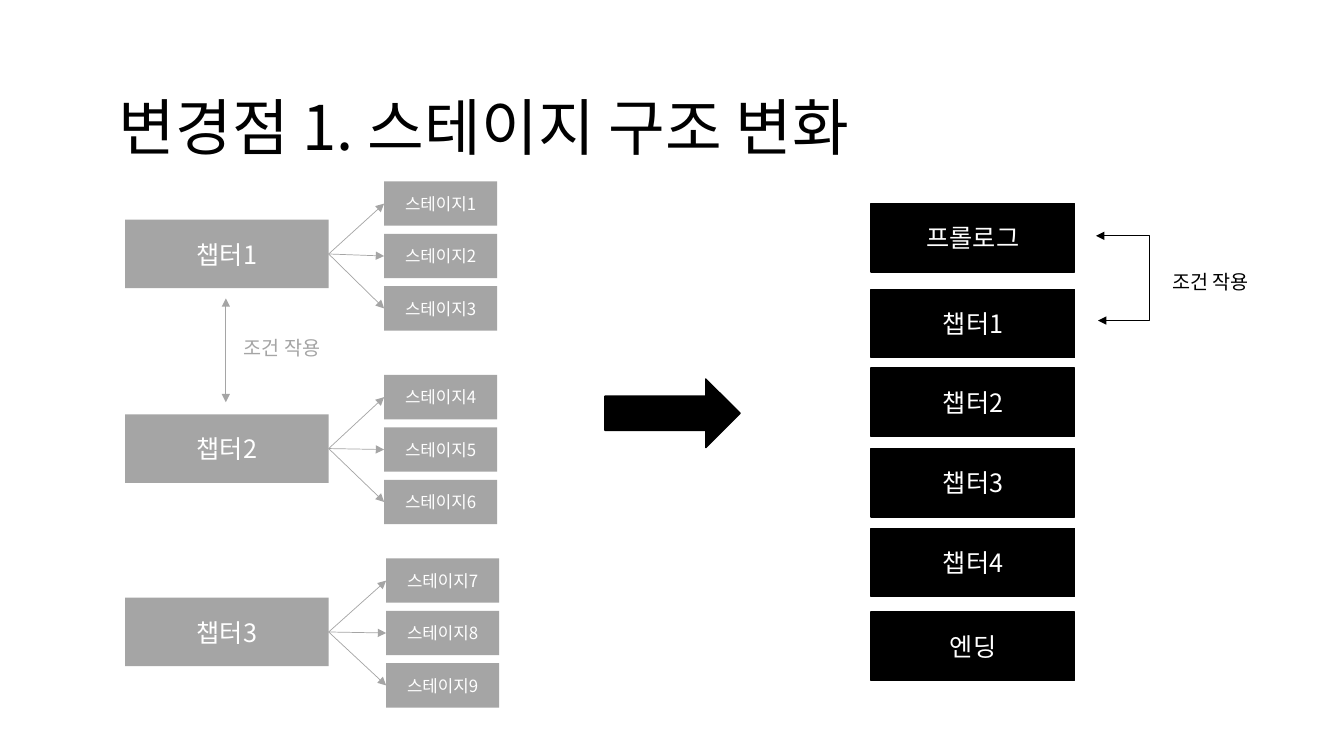
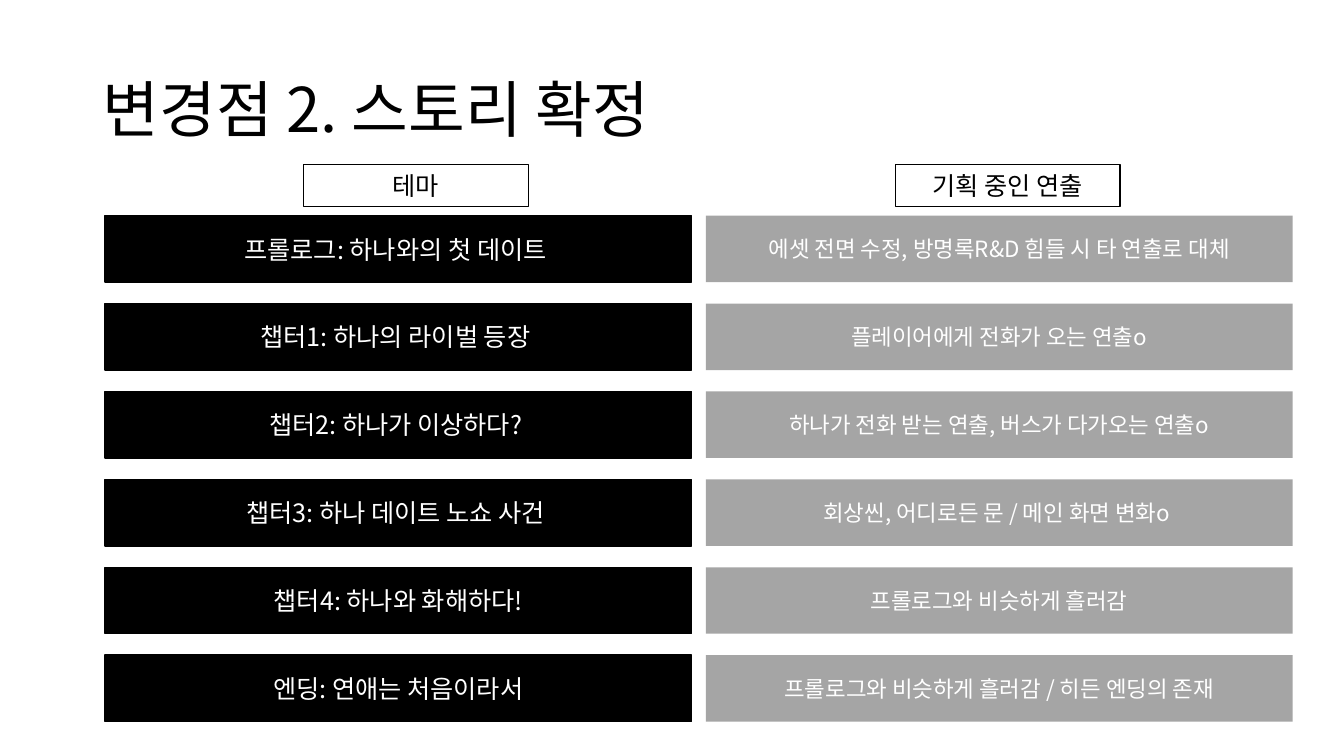
from pptx import Presentation
from pptx.dml.color import RGBColor
from pptx.enum.shapes import MSO_CONNECTOR, MSO_SHAPE
from pptx.enum.text import MSO_ANCHOR, PP_ALIGN
from pptx.oxml.ns import qn
from pptx.util import Inches, Pt
from lxml.etree import SubElement

BLACK, GRAY, WHITE = "000000", "A5A5A5", "FFFFFF"
FONT = "Noto Sans CJK KR"


def color(value):
    return RGBColor.from_string(value)


def write(tf, text, size=18, fill=BLACK, align=PP_ALIGN.LEFT,
          anchor=MSO_ANCHOR.TOP, spacing=None):
    tf.word_wrap = True
    tf.vertical_anchor = anchor
    p = tf.paragraphs[0]
    p.alignment = align
    p.line_spacing = spacing
    r = p.add_run()
    r.text = text
    r.font.name = FONT
    r.font.size = Pt(size)
    r.font.color.rgb = color(fill)
    SubElement(r.font._element, qn("a:ea")).set("typeface", FONT)


class Deck:
    """Holds the presentation, its style and the current slide."""

    def __init__(self):
        self.prs = Presentation()
        self.prs.slide_width = Inches(13.33)
        self.prs.slide_height = Inches(7.5)

    def slide(self, title, left, top):
        self.s = self.prs.slides.add_slide(self.prs.slide_layouts[6])
        self.text(title, left, top, 11.5, 1.45, size=44,
                  anchor=MSO_ANCHOR.MIDDLE, spacing=0.9)

    def text(self, text, left, top, width, height, **fmt):
        box = self.s.shapes.add_textbox(
            Inches(left), Inches(top), Inches(width), Inches(height))
        write(box.text_frame, text, **fmt)

    def shape(self, left, top, width, height, fill=BLACK, line=None,
              kind=MSO_SHAPE.RECTANGLE):
        sp = self.s.shapes.add_shape(
            kind, Inches(left), Inches(top), Inches(width), Inches(height))
        sp.shadow.inherit = False
        sp.fill.solid()
        sp.fill.fore_color.rgb = color(fill)
        if line:
            sp.line.color.rgb = color(line)
            sp.line.width = Pt(1)
        else:
            sp.line.fill.background()
        return sp

    def box(self, text, left, top, width, height, fill=BLACK, line=None,
            size=18, font_color=WHITE):
        sp = self.shape(left, top, width, height, fill, line)
        write(sp.text_frame, text, size=size, fill=font_color,
              align=PP_ALIGN.CENTER, anchor=MSO_ANCHOR.MIDDLE)

    def arrow(self, x1, y1, x2, y2, line=GRAY, both=False, elbow_x=None):
        kind = MSO_CONNECTOR.STRAIGHT if elbow_x is None else MSO_CONNECTOR.ELBOW
        cn = self.s.shapes.add_connector(
            kind, Inches(x1), Inches(y1), Inches(x2), Inches(y2))
        cn.line.color.rgb = color(line)
        cn.line.width = Pt(0.5)
        sp_pr = cn._element.spPr
        SubElement(sp_pr, qn("a:effectLst"))
        ln = sp_pr.find(qn("a:ln"))
        for end in ("a:headEnd", "a:tailEnd") if both else ("a:tailEnd",):
            SubElement(ln, qn(end)).set("type", "triangle")
        if elbow_x is not None:
            # The bend is given in 1/100000 of the connector's width
            bend = round((elbow_x - x1) / (x2 - x1) * 100000)
            guide = SubElement(sp_pr.find(".//" + qn("a:avLst")), qn("a:gd"))
            guide.set("name", "adj1")
            guide.set("fmla", f"val {bend}")


def stage_structure(deck):
    deck.slide("변경점 1. 스테이지 구조 변화", 1.08, 0.57)
    width, height = 2.02, 0.68
    stage_width, stage_height, stage_step = 1.12, 0.44, 0.52

    # Old structure: chapters that branch into three stages
    chapter_left = 1.24
    branches = [(2.18, 3.81, 1.8), (4.11, 3.81, 3.72), (5.93, 3.83, 5.54)]
    for i, (top, stage_left, stage_top) in enumerate(branches):
        deck.box(f"챕터{i + 1}", chapter_left, top, width, height, GRAY)
        for j in range(3):
            y = stage_top + j * stage_step
            deck.box(f"스테이지{3 * i + j + 1}", stage_left, y,
                     stage_width, stage_height, GRAY, size=12)
            deck.arrow(chapter_left + width, top + height / 2,
                       stage_left, y + stage_height / 2)
    deck.arrow(2.24, 2.96, 2.24, 3.99, both=True)
    deck.text("조건 작용", 2.32, 3.28, 1.14, 0.34, size=14, fill=GRAY)

    # Change arrow
    deck.shape(6, 3.76, 1.34, 0.68, line=BLACK, kind=MSO_SHAPE.RIGHT_ARROW)

    # New structure: one straight list
    parts = [("프롤로그", 2.02), ("챕터1", 2.87), ("챕터2", 3.65),
             ("챕터3", 4.45), ("챕터4", 5.24), ("엔딩", 6.07)]
    for name, top in parts:
        deck.box(name, 8.64, top, width, height, line=BLACK)
    deck.arrow(10.87, 2.34, 10.89, 3.18, BLACK, both=True, elbow_x=11.4)
    deck.text("조건 작용", 11.53, 2.63, 1.14, 0.34, size=14)


def story(deck):
    deck.slide("변경점 2. 스토리 확정", 0.92, 0.39)
    rows = [
        ("프롤로그: 하나와의 첫 데이트 ",
         "에셋 전면 수정, 방명록R&D 힘들 시 타 연출로 대체"),
        ("챕터1: 하나의 라이벌 등장 ", "플레이어에게 전화가 오는 연출o"),
        ("챕터2: 하나가 이상하다? ",
         "하나가 전화 받는 연출, 버스가 다가오는 연출o"),
        ("챕터3: 하나 데이트 노쇼 사건 ",
         "회상씬, 어디로든 문 / 메인 화면 변화o "),
        ("챕터4: 하나와 화해하다!", "프롤로그와 비슷하게 흘러감"),
        ("엔딩: 연애는 처음이라서",
         "프롤로그와 비슷하게 흘러감 / 히든 엔딩의 존재"),
    ]

    # Theme and staging, row by row
    first, last = 2.14, 6.5
    step = (last - first) / (len(rows) - 1)
    for i, (theme, staging) in enumerate(rows):
        top = first + i * step
        deck.box(theme, 1.04, top, 5.82, 0.66, line=BLACK)
        deck.box(staging, 7, top, 5.82, 0.66, GRAY, size=16)

    # Column headings
    for heading, left in (("테마", 3.01), ("기획 중인 연출", 8.88)):
        deck.box(heading, left, 1.63, 2.23, 0.42, WHITE, BLACK,
                 font_color=BLACK)


def main():
    deck = Deck()
    stage_structure(deck)
    story(deck)
    deck.prs.save("out.pptx")


if __name__ == "__main__":
    main()
